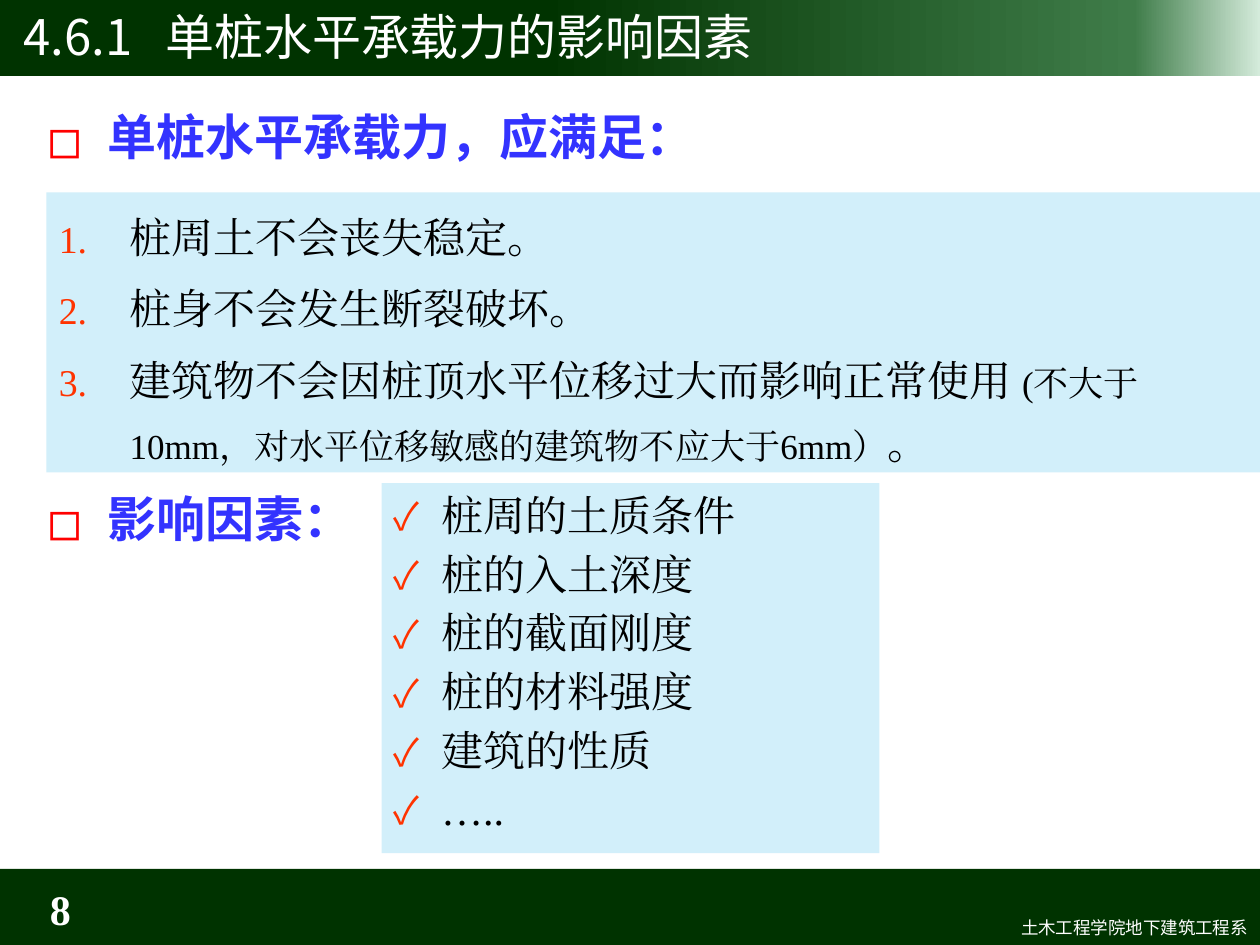
from lxml import etree
from pptx import Presentation
from pptx.dml.color import RGBColor
from pptx.enum.shapes import MSO_SHAPE as SHAPE
from pptx.enum.text import MSO_ANCHOR as ANCHOR, PP_ALIGN as ALIGN
from pptx.oxml.ns import qn
from pptx.util import Pt

SANS, SERIF = "Noto Sans CJK SC", "Times New Roman"
GREEN, PALE, RED, BLUE = "003300", "D2EFFA", "FF3300", "3333FF"
BAND_STOPS = [(43, GREEN), (90, "3F7C49"), (100, "D4EBDB")]
HEADING = dict(size=28, name=SANS, color=BLUE, bold=True)
ITEM = dict(size=24, name=SERIF, color="000000")


def rgb(value):
    return RGBColor.from_string(value)


def sub(parent, tag, **attrs):
    return etree.SubElement(parent, qn(tag), {k: str(v) for k, v in attrs.items()})


def place(sp, box):
    sp.left, sp.top, sp.width, sp.height = (Pt(v) for v in box)


def fill_gradient(sp, stops):
    sp.fill.gradient()
    sp.fill.gradient_angle = 0
    gs_list = sp._element.spPr.find(qn("a:gradFill")).find(qn("a:gsLst"))
    for gs in list(gs_list):
        gs_list.remove(gs)
    for pos, color in stops:
        sub(sub(gs_list, "a:gs", pos=pos * 1000), "a:srgbClr", val=color)


def set_frame(tf, anchor=ANCHOR.TOP, **margins):
    tf.word_wrap = True
    tf.vertical_anchor = anchor
    values = dict(left=7.2, top=3.6, right=7.2, bottom=3.6) | margins
    for side, value in values.items():
        setattr(tf, f"margin_{side}", Pt(value))


def add_run(p, text, size, name, color, bold=False):
    r = p.add_run()
    r.text = text
    for key, value in dict(size=Pt(size), name=name, bold=bold).items():
        setattr(r.font, key, value)
    r.font.color.rgb = rgb(color)
    sub(r._r.get_or_add_rPr(), "a:ea", typeface=name)


def add_bullet(p, indent, color, percent, char=None):
    """Hang a bullet character, or an automatic number when char is None."""
    pPr = p._p.get_or_add_pPr()
    pPr.set("marL", str(Pt(indent)))
    pPr.set("indent", str(-Pt(indent)))
    sub(sub(pPr, "a:buClr"), "a:srgbClr", val=color)
    sub(pPr, "a:buSzPct", val=percent * 1000)
    sub(pPr, "a:buFont", typeface=SANS)
    if char:
        sub(pPr, "a:buChar", char=char)
    else:
        sub(pPr, "a:buAutoNum", type="arabicPeriod")


def add_text(slide, box, text, style, align=ALIGN.LEFT, **frame):
    sp = slide.shapes.add_textbox(*(Pt(v) for v in box))
    set_frame(sp.text_frame, **frame)
    p = sp.text_frame.paragraphs[0]
    p.alignment = align
    add_run(p, text, **style)
    return p


def add_rect(slide, box):
    sp = slide.shapes.add_shape(SHAPE.RECTANGLE, *(Pt(v) for v in box))
    sp.shadow.inherit = False
    sp.line.fill.background()
    sp.fill.solid()
    sp.fill.fore_color.rgb = rgb(GREEN)
    return sp


def add_title(slide, box, number, text):
    sp = slide.shapes.title
    place(sp, box)
    fill_gradient(sp, BAND_STOPS)
    set_frame(sp.text_frame, anchor=ANCHOR.MIDDLE, left=13.5)
    p = sp.text_frame.paragraphs[0]
    p.alignment = ALIGN.LEFT
    tabs = sub(p._p.get_or_add_pPr(), "a:tabLst")
    sub(tabs, "a:tab", pos=Pt(81), algn="l")
    add_run(p, f"{number}\t{text}", size=28, name=SANS, color="FFFFFF")


def add_footer(slide, box, number, department):
    x, y, w, h = box
    add_rect(slide, box)
    add_text(slide, (x + w - 417, y + 24, 417, 19.5), department,
             dict(size=10, name=SANS, color="FFFFFF"), ALIGN.RIGHT)
    add_text(slide, (x, y + 8.5, 47.5, 29), number,
             dict(size=24, name=SERIF, color="FFFFFF", bold=True),
             ALIGN.RIGHT, anchor=ANCHOR.MIDDLE)


def add_heading(slide, box, text):
    p = add_text(slide, box, text, HEADING)
    add_bullet(p, 34.5, "FF0000", 114, "◻")


def add_list(slide, box, items, indent, char=None, spacing=1.0, top=3.6):
    """Each item is a list of (text, size) runs."""
    sp = add_rect(slide, box)
    sp.fill.fore_color.rgb = rgb(PALE)
    tf = sp.text_frame
    set_frame(tf, top=top)
    for i, runs in enumerate(items):
        p = tf.add_paragraph() if i else tf.paragraphs[0]
        p.alignment = ALIGN.LEFT
        p.line_spacing = spacing
        p.space_before = Pt(4.8 if i else 0)
        add_bullet(p, indent, RED, 90, char)
        for text, size in runs:
            add_run(p, text, **ITEM | dict(size=size))


def main():
    prs = Presentation()
    prs.slide_width, prs.slide_height = Pt(720), Pt(540)
    slide = prs.slides.add_slide(prs.slide_layouts[5])

    add_title(slide, (0, -2.5, 720, 46), "4.6.1", "单桩水平承载力的影响因素")
    add_footer(slide, (0, 496.5, 720, 43.5), "8", "土木工程学院地下建筑工程系")

    add_heading(slide, (20, 57.5, 396, 46), "单桩水平承载力，应满足：")
    requirements = [
        [("桩周土不会丧失稳定。", 24)],
        [("桩身不会发生断裂破坏。", 24)],
        [("建筑物不会因桩顶水平位移过大而影响正常使用 ", 24),
         ("(不大于10mm，对水平位移敏感的建筑物不应大于6mm）", 20),
         ("。", 24)],
    ]
    add_list(slide, (26.5, 110, 693.5, 160), requirements, 40.5, spacing=1.25)

    add_heading(slide, (20, 275.5, 396, 46), "影响因素：")
    factors = ["桩周的土质条件", "桩的入土深度", "桩的截面刚度",
               "桩的材料强度", "建筑的性质", "….."]
    add_list(slide, (218, 276, 284.5, 211.5), [[(f, 24)] for f in factors],
             27, char="✓")

    prs.save("out.pptx")


if __name__ == "__main__":
    main()
